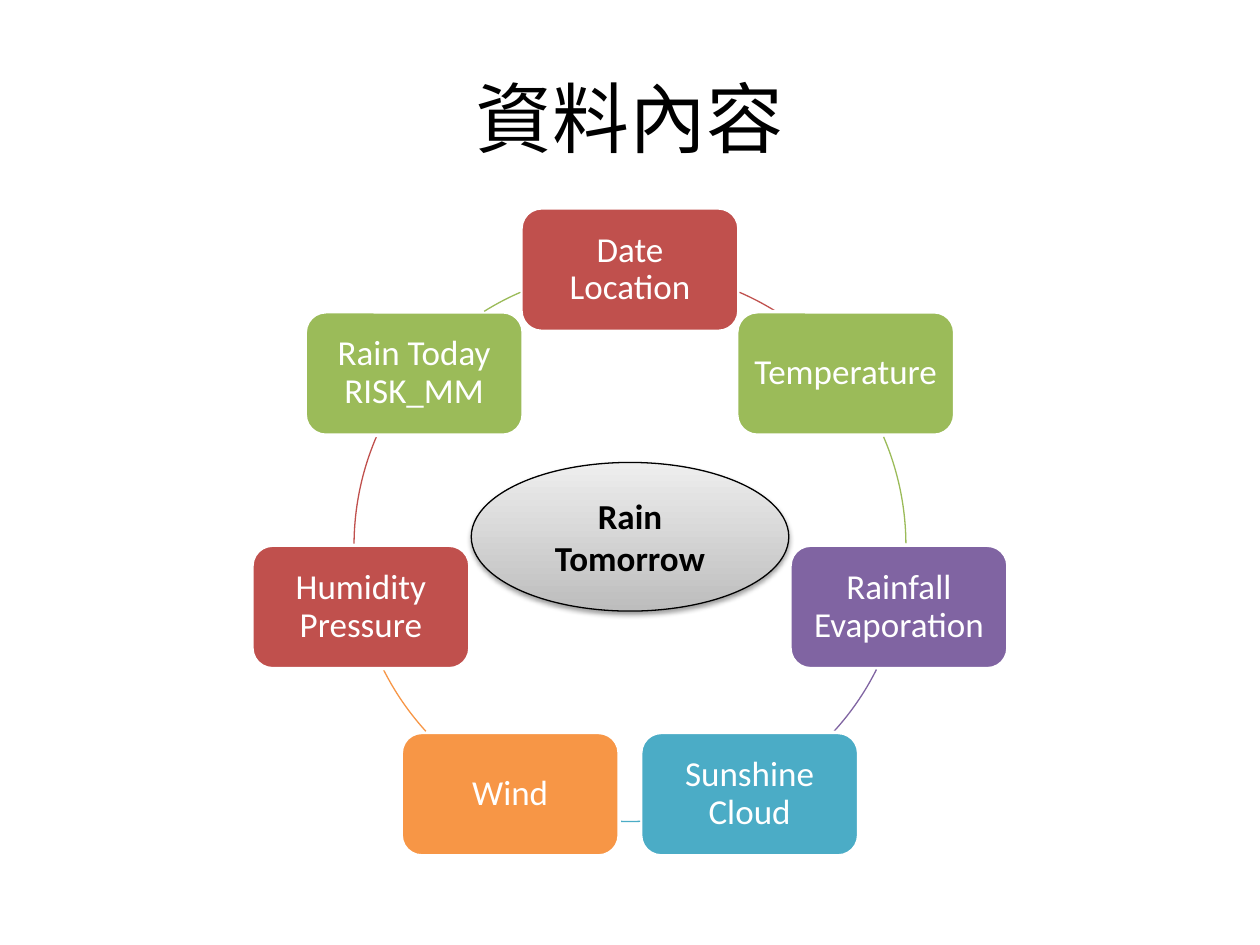
from math import cos, pi, sin

from lxml import etree
from pptx import Presentation
from pptx.dml.color import RGBColor
from pptx.enum.shapes import MSO_SHAPE
from pptx.enum.text import MSO_ANCHOR, PP_ALIGN
from pptx.oxml.ns import qn
from pptx.util import Inches, Pt

ROUNDED, ELLIPSE, ARC = MSO_SHAPE.ROUNDED_RECTANGLE, MSO_SHAPE.OVAL, MSO_SHAPE.ARC
MIDDLE, CENTER = MSO_ANCHOR.MIDDLE, PP_ALIGN.CENTER

TITLE = "資料內容"
HUB_LINES = ["Rain", "Tomorrow"]
TOPICS = [
    ("Date Location", "C0504D"),
    ("Temperature", "9BBB59"),
    ("Rainfall Evaporation", "8064A2"),
    ("Sunshine Cloud", "4BACC6"),
    ("Wind", "F79646"),
    ("Humidity Pressure", "C0504D"),
    ("Rain Today RISK_MM", "9BBB59"),
]
RIGHT_ARCS = [(293.4, 301.9), (336.8, 359.6), (26.7, 42.3), (87.9, 92.1)]
LEFT_ARCS = [((180 - end) % 360, (180 - start) % 360)
             for start, end in reversed(RIGHT_ARCS[:3])]

FONT = "Calibri"
SLIDE_WIDTH, SLIDE_HEIGHT = 10, 7.5
CENTER_X, CENTER_Y, RADIUS = SLIDE_WIDTH / 2, 4.33, 2.19
TOPIC_SIZE = (1.73, 0.98)
HUB_SIZE, HUB_Y = (2.52, 1.18), 4.26


def color(value):
    return RGBColor.from_string(value)


def add_centered(slide, kind, x, y, size, line_color, line_width):
    width, height = size
    shape = slide.shapes.add_shape(kind, Inches(x - width / 2), Inches(y - height / 2),
                                   Inches(width), Inches(height))
    shape.shadow.inherit = False
    shape.line.color.rgb = color(line_color)
    shape.line.width = Pt(line_width)
    return shape


def write(frame, lines, size, text_color, bold=False):
    frame.word_wrap = True
    frame.vertical_anchor = MIDDLE
    for index, line in enumerate(lines):
        paragraph = frame.add_paragraph() if index else frame.paragraphs[0]
        paragraph.alignment = CENTER
        run = paragraph.add_run()
        run.text = line
        run.font.name = FONT
        run.font.size = Pt(size)
        run.font.bold = bold
        run.font.color.rgb = color(text_color)


def add_topic(slide, index, label, fill):
    angle = 2 * pi * index / len(TOPICS) - pi / 2
    shape = add_centered(slide, ROUNDED, CENTER_X + RADIUS * cos(angle),
                         CENTER_Y + RADIUS * sin(angle), TOPIC_SIZE, "FFFFFF", 2)
    shape.fill.solid()
    shape.fill.fore_color.rgb = color(fill)
    frame = shape.text_frame
    frame.margin_left = frame.margin_right = Inches(0.08)
    frame.margin_top = frame.margin_bottom = Inches(0.08)
    write(frame, [label], 20, "FFFFFF")
    frame.paragraphs[0].line_spacing = 0.9


def add_ring_arc(slide, angles, line_color):
    shape = add_centered(slide, ARC, CENTER_X, CENTER_Y, (2 * RADIUS, 2 * RADIUS),
                         line_color, 0.75)
    shape.fill.background()
    for index, angle in enumerate(angles):
        shape.adjustments[index] = angle * 0.6


def add_hub(slide):
    shape = add_centered(slide, ELLIPSE, CENTER_X, HUB_Y, HUB_SIZE, "000000", 0.75)
    shape.fill.gradient()
    shape.fill.gradient_angle = 90
    for stop, position, value in zip(shape.fill.gradient_stops, (0, 1), ("BDBDBD", "EEEEEE")):
        stop.position = position
        stop.color.rgb = color(value)
    effects = shape.element.spPr.find(qn("a:effectLst"))
    shadow = etree.SubElement(effects, qn("a:outerShdw"), blurRad=str(Pt(3.1)),
                              dist=str(Pt(1.6)), dir="5400000", rotWithShape="0")
    shade = etree.SubElement(shadow, qn("a:srgbClr"), val="000000")
    etree.SubElement(shade, qn("a:alpha"), val="38000")
    write(shape.text_frame, HUB_LINES, 20, "000000", bold=True)


def main():
    presentation = Presentation()
    presentation.slide_width = Inches(SLIDE_WIDTH)
    presentation.slide_height = Inches(SLIDE_HEIGHT)
    slide = presentation.slides.add_slide(presentation.slide_layouts[5])
    title = slide.shapes.title
    title.left, title.top = Inches(0.5), Inches(0.3)
    title.width, title.height = Inches(9), Inches(1.25)
    write(title.text_frame, [TITLE], 44, "000000")
    for index, ((label, fill), angles) in enumerate(zip(TOPICS, RIGHT_ARCS + LEFT_ARCS)):
        add_topic(slide, index, label, fill)
        add_ring_arc(slide, angles, fill)
    add_hub(slide)
    presentation.save("out.pptx")


if __name__ == "__main__":
    main()
